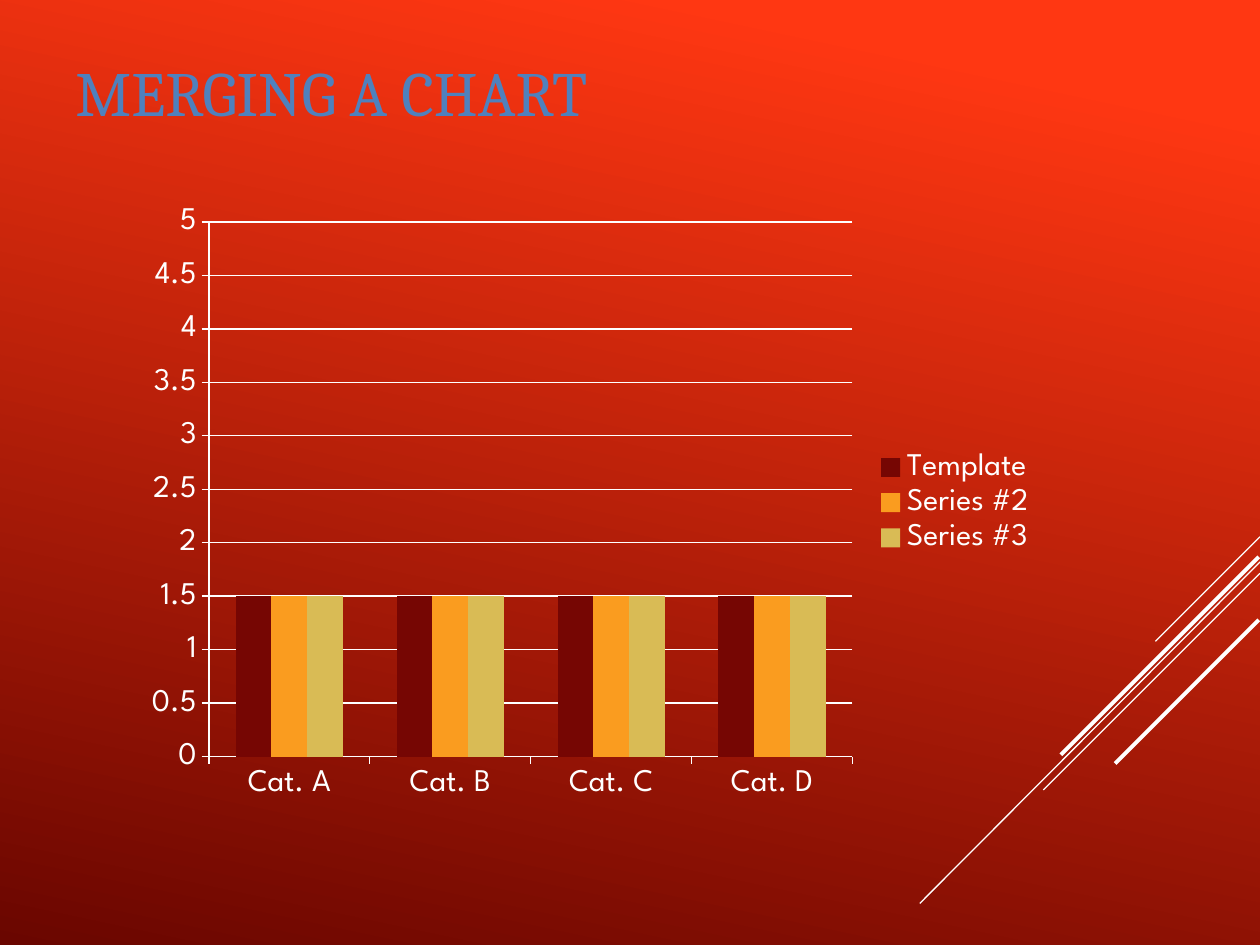
from pptx import Presentation, util as u
from pptx.chart.data import CategoryChartData
from pptx.dml.color import RGBColor
from pptx.enum import chart as c, shapes, text
from pptx.oxml.ns import qn
from lxml import etree

WHITE = RGBColor(0xFF, 0xFF, 0xFF)
TITLE_BLUE = RGBColor(0x4F, 0x81, 0xBD)
BRIGHT_RED = RGBColor(0xFF, 0x37, 0x12)
DEEP_RED = RGBColor(0x6A, 0x06, 0x00)
MAROON = RGBColor(0x76, 0x06, 0x03)
ORANGE = RGBColor(0xFA, 0x9C, 0x1F)
SAND = RGBColor(0xD9, 0xBB, 0x55)

CATEGORIES = ["Cat. A", "Cat. B", "Cat. C", "Cat. D"]
SERIES = [("Template", MAROON), ("Series #2", ORANGE), ("Series #3", SAND)]
VALUE = 1.5
STRIPES = [
    (10, 4.26, 9.17, 5.09, 0.75),
    (10, 4.46, 7.3, 7.17, 0.75),
    (10, 4.55, 8.28, 6.27, 0.75),
    (9.99, 4.42, 8.42, 5.99, 2.25),
    (9.99, 4.92, 8.85, 6.06, 2.25),
]


def paint_background(slide):
    """Fill the background with a red gradient."""
    fill = slide.background.fill
    fill.gradient()
    fill.gradient_angle = 258
    stops = [(0.1, BRIGHT_RED), (1, DEEP_RED)]
    for stop, (position, color) in zip(fill.gradient_stops, stops):
        stop.position = position
        stop.color.rgb = color


def add_stripe(slide, left, top, right, bottom, width):
    """Draw one white diagonal line without a shadow."""
    line = slide.shapes.add_connector(
        shapes.MSO_CONNECTOR.STRAIGHT, *map(u.Inches, (left, top, right, bottom)))
    line.line.color.rgb = WHITE
    line.line.width = u.Pt(width)
    etree.SubElement(line._element.spPr, qn("a:effectLst"))


def add_title(slide, title):
    """Place the slide title."""
    box = slide.shapes.add_textbox(*map(u.Inches, (0.5, 0.3, 4.58, 0.85)))
    frame = box.text_frame
    frame.word_wrap = True
    frame.vertical_anchor = text.MSO_ANCHOR.MIDDLE
    paragraph = frame.paragraphs[0]
    paragraph.text = title
    paragraph.font.name = "Cambria"
    paragraph.font.size = u.Pt(36)
    paragraph.font.color.rgb = TITLE_BLUE


def style_line(line):
    """Make a chart line thin and white."""
    line.color.rgb = WHITE
    line.width = u.Pt(0.75)


def add_column_chart(slide):
    """Add the clustered column chart."""
    data = CategoryChartData()
    data.categories = CATEGORIES
    for name, _ in SERIES:
        data.add_series(name, [VALUE] * len(CATEGORIES))
    chart = slide.shapes.add_chart(
        c.XL_CHART_TYPE.COLUMN_CLUSTERED,
        *map(u.Inches, (1.06, 1.55, 7.27, 4.88)), data).chart
    chart.has_title = False
    chart.font.name = "League Spartan"
    chart.font.size = u.Pt(18)
    chart.font.color.rgb = WHITE
    chart.has_legend = True
    chart.legend.position = c.XL_LEGEND_POSITION.RIGHT
    chart.legend.include_in_layout = False

    plot = chart.plots[0]
    plot.gap_width = 150
    plot.overlap = 0
    plot.vary_by_categories = False
    for series, (_, color) in zip(plot.series, SERIES):
        series.format.fill.solid()
        series.format.fill.fore_color.rgb = color

    for axis in (chart.category_axis, chart.value_axis):
        axis.major_tick_mark = c.XL_TICK_MARK.OUTSIDE
        axis.minor_tick_mark = c.XL_TICK_MARK.NONE
        style_line(axis.format.line)
    value_axis = chart.value_axis
    value_axis.minimum_scale = 0
    value_axis.maximum_scale = 5
    value_axis.major_unit = 0.5
    value_axis.has_major_gridlines = True
    style_line(value_axis.major_gridlines.format.line)


def main():
    """Build and save the slide."""
    presentation = Presentation()
    presentation.slide_width = u.Inches(10)
    presentation.slide_height = u.Inches(7.5)
    slide = presentation.slides.add_slide(presentation.slide_layouts[6])
    paint_background(slide)
    for stripe in STRIPES:
        add_stripe(slide, *stripe)
    add_title(slide, "MERGING A CHART")
    add_column_chart(slide)
    presentation.save("out.pptx")


if __name__ == "__main__":
    main()
